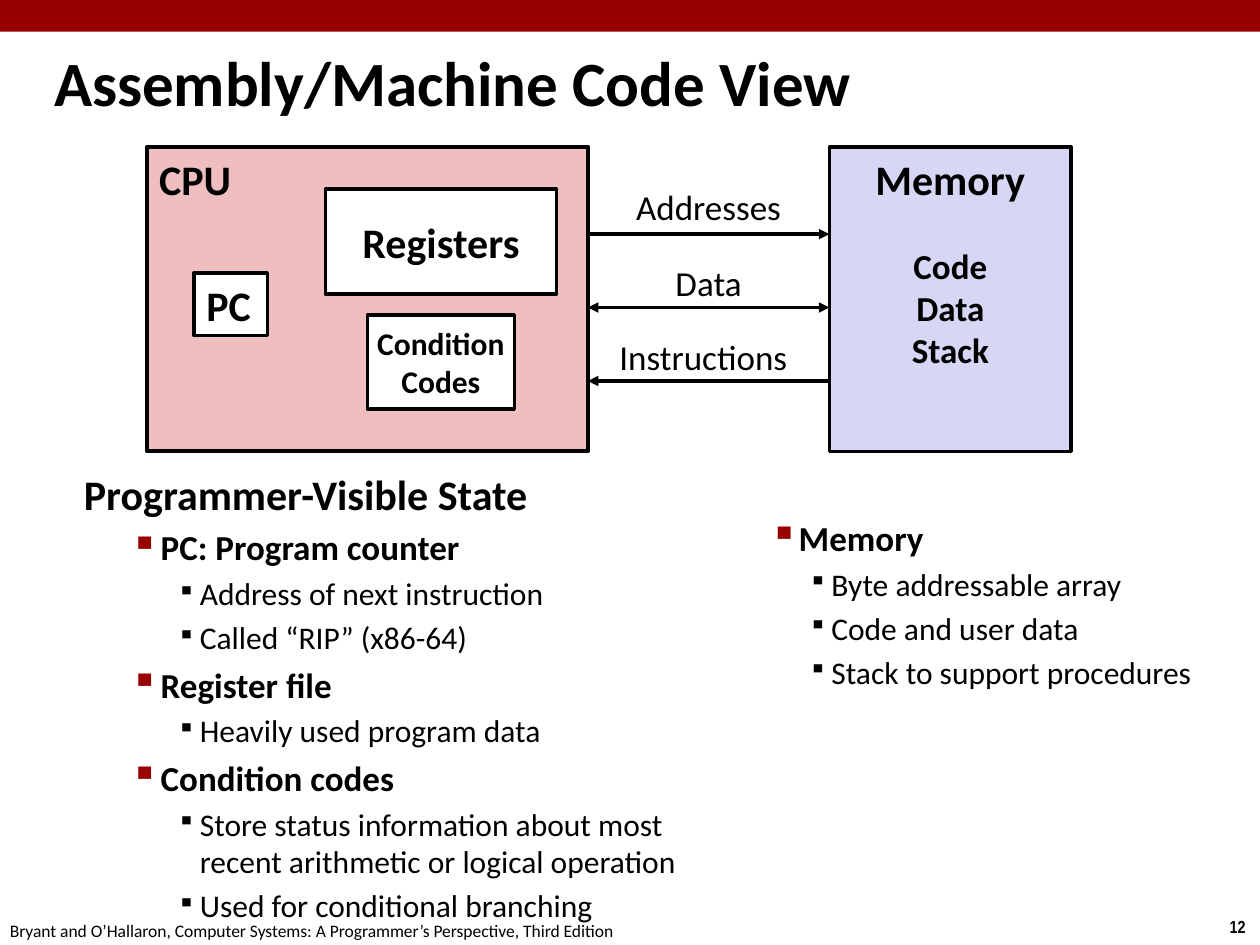
from dataclasses import dataclass

from lxml import etree
from pptx import Presentation
from pptx.dml.color import RGBColor
from pptx.enum.shapes import MSO_CONNECTOR, MSO_SHAPE
from pptx.enum.text import MSO_ANCHOR, PP_ALIGN
from pptx.oxml.ns import qn
from pptx.util import Cm, Pt

LEFT, CENTER = PP_ALIGN.LEFT, PP_ALIGN.CENTER
TOP, MIDDLE = MSO_ANCHOR.TOP, MSO_ANCHOR.MIDDLE
RECT, STRAIGHT = MSO_SHAPE.RECTANGLE, MSO_CONNECTOR.STRAIGHT


@dataclass(frozen=True)
class Theme:
    font: str = "Calibri"
    number_font: str = "Arial Narrow"
    ink: str = "000000"
    accent: str = "990000"
    cpu: str = "EFBFBF"
    memory: str = "D6D6F5"
    white: str = "FFFFFF"
    title: int = 36
    heading: int = 24
    item: int = 20
    detail: int = 18
    footer: int = 10


T = Theme()


@dataclass(frozen=True)
class Label:
    """A block of text; position and size in centimetres."""
    lines: tuple[str, ...]
    box: tuple[float, float, float, float]
    size: int
    bold: bool = False
    align: PP_ALIGN = CENTER
    anchor: MSO_ANCHOR = TOP
    wrap: bool = True
    font: str = T.font


@dataclass(frozen=True)
class Block:
    """A filled, outlined rectangle with its label."""
    label: Label
    fill: str
    line: float = 2


@dataclass(frozen=True)
class Arrow:
    name: str
    width: float
    label_top: float
    head: bool
    tail: bool


@dataclass(frozen=True)
class Level:
    size: int
    bold: bool
    margin: float = 0
    hanging: float = 0
    bullet: int = 0  # percent of the text size, 0 for none
    bullet_color: str = T.ink


def add_run(p, text: str, size: int, bold: bool, font: str = T.font) -> None:
    r = p.add_run()
    r.text = text
    r.font.name, r.font.size, r.font.bold = font, Pt(size), bold
    r.font.color.rgb = RGBColor.from_string(T.ink)


def fill_text(sp, label: Label) -> None:
    tf = sp.text_frame
    tf.word_wrap, tf.vertical_anchor = label.wrap, label.anchor
    for i, line in enumerate(label.lines):
        p = tf.add_paragraph() if i else tf.paragraphs[0]
        p.alignment = label.align
        add_run(p, line, label.size, label.bold, label.font)


def add_label(s, label: Label) -> None:
    fill_text(s.shapes.add_textbox(*map(Cm, label.box)), label)


def add_rect(s, box: tuple[float, float, float, float], fill: str, line: float = 0):
    sp = s.shapes.add_shape(RECT, *map(Cm, box))
    sp.shadow.inherit = False
    sp.fill.solid()
    sp.fill.fore_color.rgb = RGBColor.from_string(fill)
    if line:
        sp.line.color.rgb = RGBColor.from_string(T.ink)
        sp.line.width = Pt(line)
    else:
        sp.line.fill.background()
    return sp


def add_arrow(s, x1: float, x2: float, y: float, arrow: Arrow) -> None:
    cn = s.shapes.add_connector(STRAIGHT, Cm(x1), Cm(y), Cm(x2), Cm(y))
    cn.line.color.rgb = RGBColor.from_string(T.ink)
    cn.line.width = Pt(2)
    sp_pr = cn.line._get_or_add_ln().getparent()
    for tag, shown in (("a:headEnd", arrow.head), ("a:tailEnd", arrow.tail)):
        if shown:
            etree.SubElement(sp_pr.find(qn("a:ln")), qn(tag), type="triangle")
    etree.SubElement(sp_pr, qn("a:effectLst"))


def add_outline(s, box: tuple[float, float, float, float], levels: tuple[Level, ...],
                items: tuple[tuple[int, str], ...]) -> None:
    tf = s.shapes.add_textbox(*map(Cm, box)).text_frame
    tf.word_wrap = True
    for i, (depth, text) in enumerate(items):
        level = levels[depth]
        p = tf.add_paragraph() if i else tf.paragraphs[0]
        p.level = depth
        p.space_before = Pt(level.size * 0.2)
        p_pr = p._p.get_or_add_pPr()
        p_pr.set("marL", str(Cm(level.margin)))
        p_pr.set("indent", str(-Cm(level.hanging)))
        if level.bullet:
            color = etree.SubElement(p_pr, qn("a:buClr"))
            etree.SubElement(color, qn("a:srgbClr"), val=level.bullet_color)
            etree.SubElement(p_pr, qn("a:buSzPct"), val=str(level.bullet * 1000))
            etree.SubElement(p_pr, qn("a:buChar"), char="▪")
        add_run(p, text, level.size, level.bold)


prs = Presentation()
prs.slide_width, prs.slide_height = Cm(25.4), Cm(19.05)
s = prs.slides.add_slide(prs.slide_layouts[6])

# Top bar, footer and title
add_rect(s, (0, 0, 25.4, 0.64), T.accent)
for label in (
    Label(("12",), (24.54, 18.34, 0.86, 0.69), T.footer, True, LEFT, wrap=False,
          font=T.number_font),
    Label(("Bryant and O’Hallaron, Computer Systems: A Programmer’s Perspective, Third Edition",),
          (-0.05, 18.42, 12.9, 0.69), T.footer, align=LEFT, wrap=False),
    Label(("Assembly/Machine Code View",), (0.84, 0.84, 20.07, 1.6), T.title, True, LEFT, MIDDLE),
):
    add_label(s, label)

# CPU and memory blocks
CPU_LEFT, CPU_WIDTH, MEMORY_LEFT, MEMORY_WIDTH = 2.96, 8.89, 16.72, 4.87
BLOCK_TOP, BLOCK_HEIGHT = 2.96, 6.14
for block in (
    Block(Label(("CPU",), (CPU_LEFT, BLOCK_TOP, CPU_WIDTH, BLOCK_HEIGHT),
                T.heading, True, LEFT), T.cpu, 2.25),
    Block(Label(("PC",), (3.91, 5.5, 1.48, 1.27), T.heading, True, LEFT, MIDDLE, False), T.white),
    Block(Label(("Registers",), (6.56, 3.81, 4.66, 2.12),
                T.heading, True, CENTER, MIDDLE, False), T.white),
    Block(Label(("Condition", "Codes"), (7.41, 6.35, 2.96, 1.9),
                T.detail, True, CENTER, MIDDLE, False), T.white),
    Block(Label(("Memory",), (MEMORY_LEFT, BLOCK_TOP, MEMORY_WIDTH, BLOCK_HEIGHT),
                T.heading, True, wrap=False), T.memory),
):
    fill_text(add_rect(s, block.label.box, block.fill, block.line), block.label)
add_label(s, Label(("Code", "Data", "Stack"), (17.57, 4.8, 3.18, 2.82), T.item, True))

# Buses between CPU and memory
BUS_LEFT, BUS_TOP, BUS_STEP = CPU_LEFT + CPU_WIDTH, 4.72, 1.48
for i, arrow in enumerate((
    Arrow("Addresses", 4.87, 3.61, False, True),
    Arrow("Data", 4.87, 5.14, True, True),
    Arrow("Instructions", 4.66, 6.63, True, False),
)):
    add_arrow(s, BUS_LEFT, MEMORY_LEFT, BUS_TOP + i * BUS_STEP, arrow)
    add_label(s, Label((arrow.name,), (BUS_LEFT, arrow.label_top, arrow.width, 1.09), T.item))

# Programmer-visible state
HEADING = Level(T.heading, True, 0.64, 0.64)
add_outline(
    s, (1.44, 9.32, 13.48, 8.59),
    (HEADING, Level(T.item, True, 1.55, 0.61, 110, T.accent),
     Level(T.detail, False, 2.34, 0.46, 80)),
    ((0, "Programmer-Visible State"),
     (1, "PC: Program counter"),
     (2, "Address of next instruction"),
     (2, "Called “RIP” (x86-64)"),
     (1, "Register file"),
     (2, "Heavily used program data"),
     (1, "Condition codes"),
     (2, "Store status information about most recent arithmetic or logical operation"),
     (2, "Used for conditional branching")))
add_outline(
    s, (14.94, 10.29, 10.06, 4.37),
    (HEADING, Level(T.item, True, 0.81, 0.48, 110, T.accent),
     Level(T.detail, False, 1.57, 0.46, 80)),
    ((1, "Memory"),
     (2, "Byte addressable array"),
     (2, "Code and user data"),
     (2, "Stack to support procedures")))

prs.save("out.pptx")
